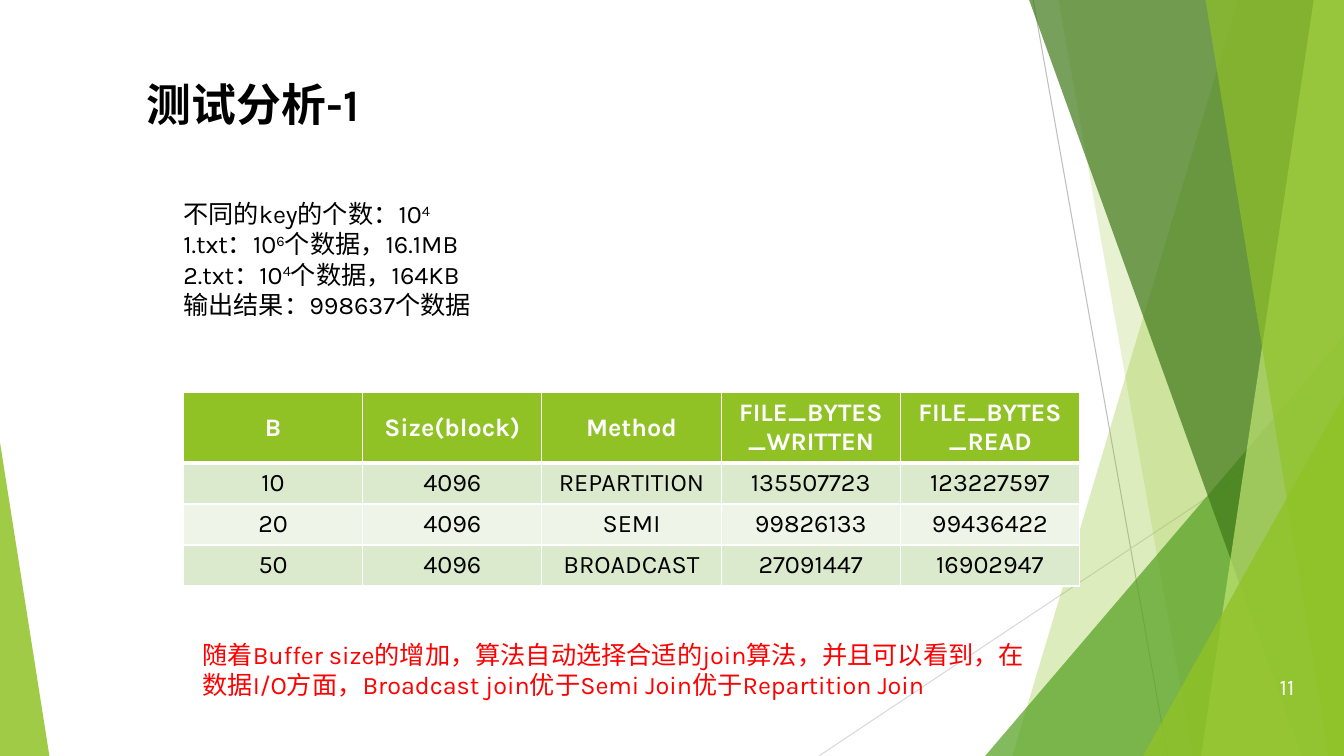
from dataclasses import dataclass

from lxml import etree
from pptx import Presentation
from pptx import util as u
from pptx.dml import color as dml
from pptx.enum import shapes, text
from pptx.oxml import ns

COLS = 40  # grid: 40 columns by 22.5 rows of square cells
ROWS = 22.5


@dataclass(frozen=True)
class Theme:
    font: str = "Karla"
    green: str = "90C226"
    grass: str = "54A021"
    moss: str = "3F7819"
    lime: str = "C0E474"
    band: str = "DBE9CD"
    pale: str = "EEF4E8"
    grey: str = "BFBFBF"
    mist: str = "D9D9D9"
    black: str = "000000"
    white: str = "FFFFFF"
    red: str = "FF0000"
    title: int = 32
    body: int = 18
    page: int = 16


@dataclass(frozen=True)
class Box:
    x: float
    y: float
    w: float
    h: float


@dataclass(frozen=True)
class Ray:
    x1: float
    y1: float
    x2: float
    y2: float
    hue: str


@dataclass(frozen=True)
class Shard:
    """Full-height panel given by its corners along the top and foot."""
    top: tuple[float, float]
    foot: tuple[float, float]
    hue: str
    alpha: int


@dataclass(frozen=True)
class Wedge:
    box: Box
    peak: float
    hue: str
    alpha: int


@dataclass(frozen=True)
class Piece:
    words: str
    raised: bool = False


@dataclass(frozen=True)
class Label:
    box: Box
    lines: list[list[Piece]]
    size: int
    hue: str
    bold: bool = False
    wrap: bool = True
    grow: bool = True
    align: text.PP_ALIGN = text.PP_ALIGN.LEFT
    anchor: text.MSO_ANCHOR = text.MSO_ANCHOR.TOP


T = Theme()
deck = Presentation()
deck.slide_width, deck.slide_height = u.Inches(COLS / 3), u.Inches(ROWS / 3)
slide = deck.slides.add_slide(deck.slide_layouts[6])
unit = deck.slide_width / COLS


def span(cells: float) -> u.Emu:
    return u.Emu(round(cells * unit))


def place(box: Box) -> tuple[u.Emu, ...]:
    return tuple(map(span, (box.x, box.y, box.w, box.h)))


def rgb(hue: str) -> dml.RGBColor:
    return dml.RGBColor.from_string(hue)


def paint(shape, hue: str, alpha: int) -> None:
    shape.shadow.inherit = False
    shape.line.fill.background()
    shape.fill.solid()
    shape.fill.fore_color.rgb = rgb(hue)
    tint = shape.fill._xPr.find(".//" + ns.qn("a:srgbClr"))
    etree.SubElement(tint, ns.qn("a:alpha"), val=str(alpha * 1000))


def draw_ray(ray: Ray) -> None:
    line = slide.shapes.add_connector(
        shapes.MSO_CONNECTOR.STRAIGHT, *map(span, (ray.x1, ray.y1, ray.x2, ray.y2)))
    line.line.color.rgb = rgb(ray.hue)
    line.line.width = u.Pt(0.75)
    etree.SubElement(line._element.spPr, ns.qn("a:effectLst"))


def draw_shard(shard: Shard) -> None:
    (left, right), (start, end) = shard.top, shard.foot
    pen = slide.shapes.build_freeform(span(left), 0)
    pen.add_line_segments([(span(x), span(y)) for x, y in
                           ((right, 0), (end, ROWS), (start, ROWS))], close=True)
    paint(pen.convert_to_shape(), shard.hue, shard.alpha)


def draw_wedge(wedge: Wedge) -> None:
    shape = slide.shapes.add_shape(
        shapes.MSO_SHAPE.ISOSCELES_TRIANGLE, *place(wedge.box))
    shape.adjustments[0] = wedge.peak
    paint(shape, wedge.hue, wedge.alpha)


def add_run(para, piece: Piece, size: int, hue: str, bold: bool) -> None:
    run = para.add_run()
    run.text = piece.words
    font = run.font
    font.name, font.size, font.bold = T.font, u.Pt(size), bold
    font.color.rgb = rgb(hue)
    if piece.raised:
        font._element.set("baseline", "30000")


def draw_label(label: Label) -> None:
    frame = slide.shapes.add_textbox(*place(label.box)).text_frame
    frame.word_wrap = label.wrap
    frame.auto_size = (text.MSO_AUTO_SIZE.SHAPE_TO_FIT_TEXT if label.grow
                       else text.MSO_AUTO_SIZE.NONE)
    frame.vertical_anchor = label.anchor
    for i, line in enumerate(label.lines):
        para = frame.add_paragraph() if i else frame.paragraphs[0]
        para.alignment = label.align
        for piece in line:
            add_run(para, piece, label.size, label.hue, label.bold)


def add_edge(cell, side: str, width: float) -> None:
    props = cell._tc.get_or_add_tcPr()
    edge = etree.SubElement(props, ns.qn("a:ln" + side), w=str(u.Pt(width)))
    fill = etree.SubElement(edge, ns.qn("a:solidFill"))
    etree.SubElement(fill, ns.qn("a:srgbClr"), val=T.white)


def draw_table(box: Box, data: list[list[str]], heights: list[float]) -> None:
    table = slide.shapes.add_table(len(data), len(data[0]), *place(box)).table
    for col in table.columns:
        col.width = span(box.w / len(data[0]))
    for r, (line, height) in enumerate(zip(data, heights)):
        table.rows[r].height = span(height)
        head = r == 0
        back = T.green if head else T.band if r % 2 else T.pale
        for c, words in enumerate(line):
            cell = table.cell(r, c)
            cell.vertical_anchor = text.MSO_ANCHOR.MIDDLE
            for side in "LRTB":
                thick = (r, side) in ((0, "B"), (1, "T"))
                add_edge(cell, side, 3 if thick else 1)
            cell.fill.solid()
            cell.fill.fore_color.rgb = rgb(back)
            para = cell.text_frame.paragraphs[0]
            para.alignment = text.PP_ALIGN.CENTER
            add_run(para, Piece(words), T.body, T.white if head else T.black, head)


# Backdrop, from back to front
DRAW = {Ray: draw_ray, Shard: draw_shard, Wedge: draw_wedge}
for part in (
    Ray(30.75, 0, 34.75, ROWS, T.grey),
    Ray(COLS, 12.1, 24.37, ROWS, T.mist),
    Shard((36.84, COLS), (30.13, COLS), T.green, 30),
    Shard((31.5, COLS), (35.5, COLS), T.green, 20),
    Wedge(Box(29.32, 10, 10.68, 12.5), 1, T.grass, 72),
    Shard((30.63, COLS), (38.74, COLS), T.moss, 70),
    Shard((39.1, COLS), (35.75, COLS), T.lime, 70),
    Shard((35.88, COLS), (39.55, COLS), T.green, 65),
    Wedge(Box(34.02, 11.78, 5.98, 10.72), 1, T.green, 80),
    Wedge(Box(0, 13.17, 1.47, 9.33), 0, T.green, 85),
):
    DRAW[type(part)](part)

# Title and test data
draw_label(Label(Box(4.08, 2.13, 7.26, 1.92), [[Piece("测试分析-1")]],
                 T.title, T.black, bold=True, wrap=False))
draw_label(Label(Box(5.16, 5.76, 9.54, 3.93), [
    [Piece("不同的key的个数：10"), Piece("4", True)],
    [Piece("1.txt：10"), Piece("6", True), Piece("个数据，16.1MB")],
    [Piece("2.txt：10"), Piece("4", True), Piece("个数据，164KB")],
    [Piece("输出结果：998637个数据")],
], T.body, T.black, wrap=False))

# Results
draw_table(Box(5.46, 11.68, 26.67, 5.76), [
    ["B", "Size(block)", "Method", "FILE_BYTES_WRITTEN", "FILE_BYTES_READ"],
    ["10", "4096", "REPARTITION", "135507723", "123227597"],
    ["20", "4096", "SEMI", "99826133", "99436422"],
    ["50", "4096", "BROADCAST", "27091447", "16902947"],
], [2.1, 1.22, 1.22, 1.22])

# Finding and page number
draw_label(Label(Box(5.73, 18.87, 25.32, 2.13), [[Piece(
    "随着Buffer size的增加，算法自动选择合适的join算法，并且可以看到，"
    "在数据I/O方面，Broadcast join优于Semi Join优于Repartition Join")]],
    T.body, T.red))
draw_label(Label(Box(36.57, 19.83, 2.25, 1.2), [[Piece("11")]], T.page, T.white,
                 grow=False, align=text.PP_ALIGN.RIGHT,
                 anchor=text.MSO_ANCHOR.MIDDLE))

deck.save("out.pptx")
